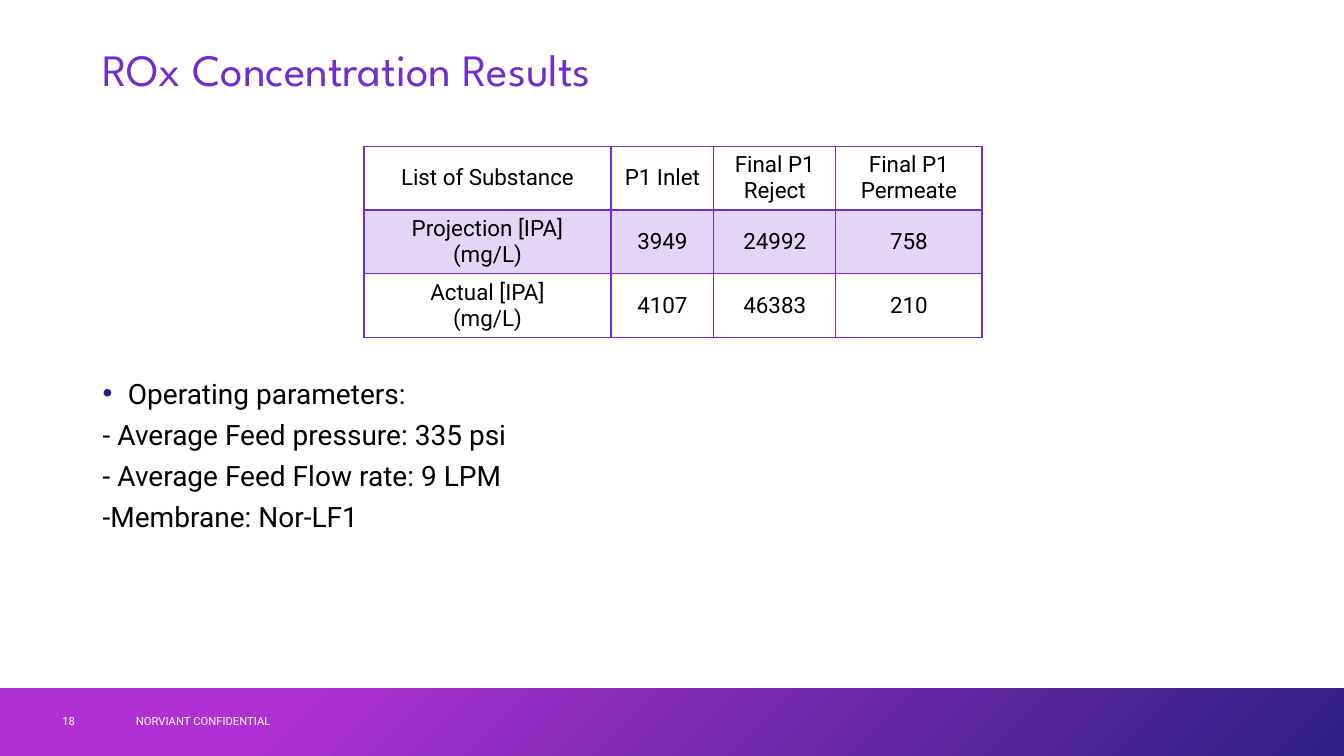
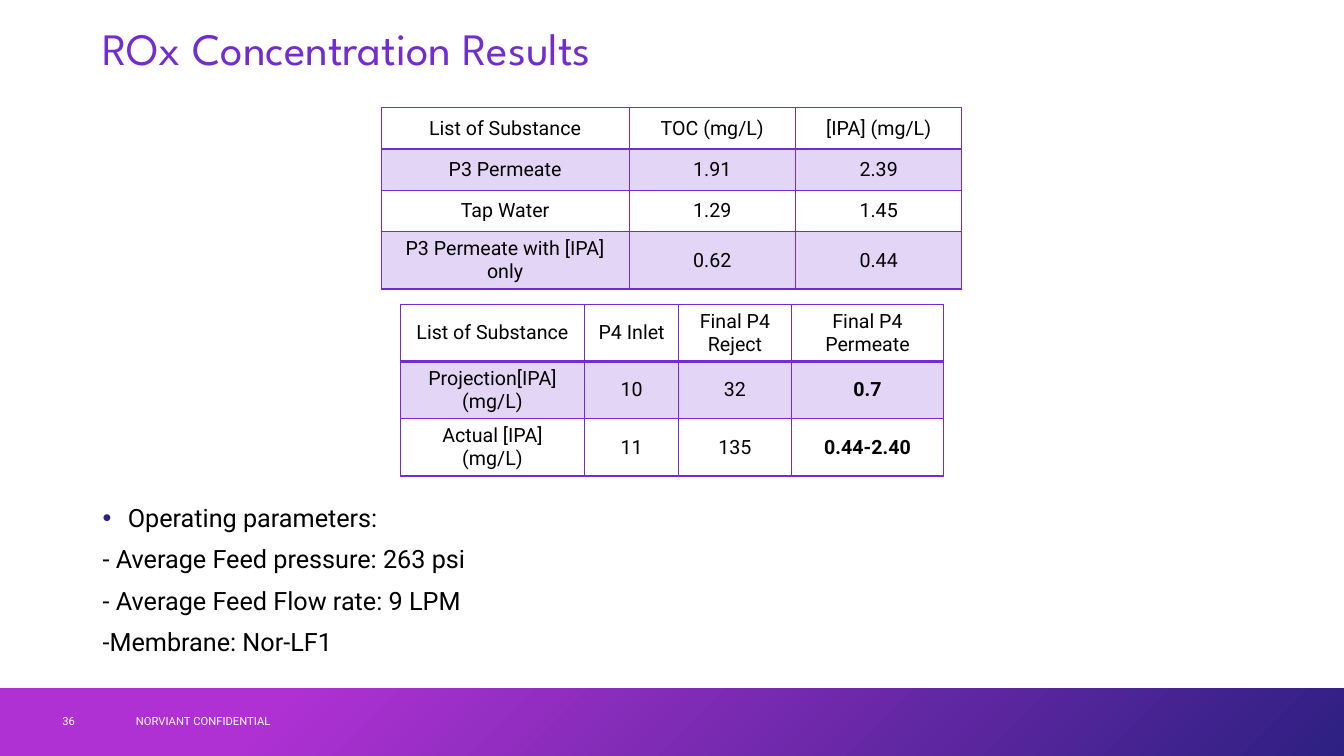
from lxml import etree
from pptx import Presentation
from pptx.dml.color import RGBColor
from pptx.enum.shapes import MSO_SHAPE
from pptx.enum.text import MSO_ANCHOR, PP_ALIGN
from pptx.oxml.ns import qn
from pptx.util import Inches, Pt

# Shared look
PURPLE, MAGENTA, NAVY = "722CCF", "AF31D3", "2D2082"
TINT, WHITE, BLACK = "E3D5F5", "FFFFFF", "000000"
TITLE_FONT, BODY_FONT = "League Spartan", "Roboto"
TITLE = "ROx Concentration Results"
FOOTER = "NORVIANT CONFIDENTIAL"


def color(hex_string):
    return RGBColor.from_string(hex_string)


def write(frame, text, size=16, font=BODY_FONT, ink=BLACK, bold=False,
          align=PP_ALIGN.LEFT, spacing=1.0, before=0, bullet=False):
    """Fill a text frame, one paragraph per line; bullet marks the first."""
    frame.word_wrap = True
    for index, line in enumerate(text.split("\n")):
        para = frame.paragraphs[0] if index == 0 else frame.add_paragraph()
        para.alignment, para.line_spacing = align, spacing
        para.space_before = Pt(before if index else 0)
        if bullet and index == 0:
            properties = para._p.get_or_add_pPr()
            properties.set("marL", str(Inches(0.25)))
            properties.set("indent", str(-Inches(0.25)))
            bullet_color = etree.SubElement(properties, qn("a:buClr"))
            etree.SubElement(bullet_color, qn("a:srgbClr"), val=NAVY)
            etree.SubElement(properties, qn("a:buFont"), typeface="Arial")
            etree.SubElement(properties, qn("a:buChar"), char="•")
        span = para.add_run()
        span.text = line
        span.font.size, span.font.name = Pt(size), font
        span.font.color.rgb, span.font.bold = color(ink), bold


# Slide content
pages = [
    {
        "number": "18", "title_top": 0.38,
        "body": {"at": (0.92, 3.75, 6.19, 1.7), "size": 20, "spacing": 0.8,
                 "pressure": "335 psi"},
        "tables": [
            {"at": (3.61, 1.45), "size": 16,
             "columns": [2.45, 1.02, 1.21, 1.45], "heights": [0.62] * 3,
             "rows": [
                 ["List of Substance", "P1 Inlet", "Final P1 Reject", "Final P1 Permeate"],
                 ["Projection [IPA]\n(mg/L)", "3949", "24992", "758"],
                 ["Actual [IPA]\n(mg/L)", "4107", "46383", "210"]]},
        ],
    },
    {
        "number": "36", "title_top": 0.17,
        "body": {"at": (0.92, 4.97, 11.5, 1.66), "size": 18, "spacing": 0.9,
                 "pressure": "263 psi"},
        "tables": [
            {"at": (3.97, 3.02), "size": 14,
             "columns": [1.83, 0.93, 1.12, 1.51], "heights": [0.56] * 3,
             "bold": ["0.7", "0.44-2.40"],
             "rows": [
                 ["List of Substance", "P4 Inlet", "Final P4 Reject", "Final P4 Permeate"],
                 ["Projection[IPA]\n(mg/L)", "10", "32", "0.7"],
                 ["Actual [IPA]\n(mg/L)", "11", "135", "0.44-2.40"]]},
            {"at": (3.78, 1.07), "size": 14,
             "columns": [2.46, 1.65, 1.65], "heights": [0.41] * 3 + [0.56],
             "rows": [
                 ["List of Substance", "TOC (mg/L)", "[IPA] (mg/L)"],
                 ["P3 Permeate", "1.91", "2.39"],
                 ["Tap Water", "1.29", "1.45"],
                 ["P3 Permeate with [IPA] only", "0.62", "0.44"]]},
        ],
    },
]

deck = Presentation()
deck.slide_width, deck.slide_height = Inches(13.33), Inches(7.5)

for page in pages:
    slide = deck.slides.add_slide(deck.slide_layouts[6])

    # Footer band
    band = slide.shapes.add_shape(MSO_SHAPE.RECTANGLE, 0, Inches(6.83),
                                  deck.slide_width, Inches(0.67))
    band.shadow.inherit = False
    band.line.fill.background()
    band.fill.gradient()
    band.fill.gradient_angle = 315
    for stop, (position, shade) in zip(band.fill.gradient_stops,
                                       [(0.21, MAGENTA), (1, NAVY)]):
        stop.position, stop.color.rgb = position, color(shade)

    # Title, footer and page number
    for text, at, style in [
        (TITLE, (0.92, page["title_top"], 11.5, 0.67),
         {"size": 32, "font": TITLE_FONT, "ink": PURPLE, "spacing": 0.9}),
        (FOOTER, (1.25, 6.95, 4.5, 0.4), {"size": 8, "ink": WHITE}),
        (page["number"], (0.52, 6.95, 0.72, 0.4), {"size": 8, "ink": WHITE}),
    ]:
        box = slide.shapes.add_textbox(*map(Inches, at))
        box.text_frame.vertical_anchor = MSO_ANCHOR.MIDDLE
        write(box.text_frame, text, **style)

    # Operating parameters
    body = page["body"]
    box = slide.shapes.add_textbox(*map(Inches, body["at"]))
    write(box.text_frame,
          "Operating parameters:\n"
          f"- Average Feed pressure: {body['pressure']}\n"
          "- Average Feed Flow rate: 9 LPM\n"
          "-Membrane: Nor-LF1",
          size=body["size"], spacing=body["spacing"], before=10, bullet=True)

    # Result tables
    for data in page["tables"]:
        rows, columns, heights = data["rows"], data["columns"], data["heights"]
        table = slide.shapes.add_table(
            len(rows), len(columns), *map(Inches, data["at"]),
            Inches(sum(columns)), Inches(sum(heights))).table
        table.first_row = table.horz_banding = False
        for column, width in zip(table.columns, columns):
            column.width = Inches(width)
        for row_index, texts in enumerate(rows):
            table.rows[row_index].height = Inches(heights[row_index])
            for column_index, text in enumerate(texts):
                cell = table.cell(row_index, column_index)
                cell.vertical_anchor = MSO_ANCHOR.MIDDLE
                write(cell.text_frame, text, size=data["size"],
                      align=PP_ALIGN.CENTER, bold=text in data.get("bold", []))

                # Borders: a heavier rule below the header
                properties = cell._tc.get_or_add_tcPr()
                for side in ("L", "R", "T", "B"):
                    heavy = (row_index, side) in [(0, "B"), (1, "T")]
                    border = etree.SubElement(properties, qn(f"a:ln{side}"),
                                              w=str(Pt(2 if heavy else 1)))
                    paint = etree.SubElement(border, qn("a:solidFill"))
                    etree.SubElement(paint, qn("a:srgbClr"), val=PURPLE)

                # Every other row is tinted
                if row_index % 2:
                    cell.fill.solid()
                    cell.fill.fore_color.rgb = color(TINT)
                else:
                    cell.fill.background()

deck.save("out.pptx")
